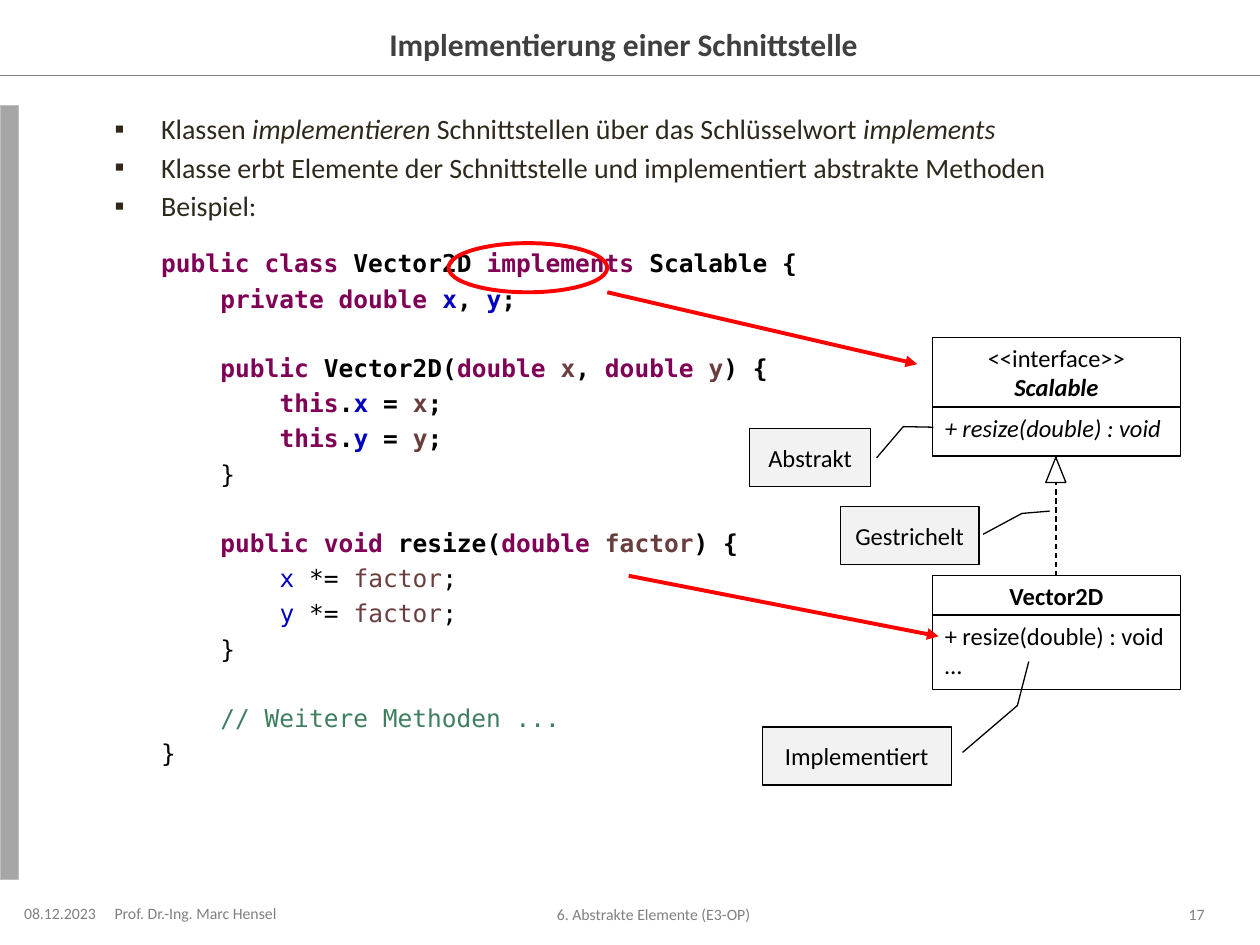
from lxml import etree
from pptx import Presentation
from pptx import util as u
from pptx.dml.color import RGBColor
from pptx.enum import dml, shapes, text
from pptx.oxml import ns

COLORS = {
    "black": "000000", "white": "FFFFFF", "red": "FF0000", "grey": "808080",
    "bar": "A6A6A6", "bar_edge": "BFBFBF", "note": "F2F2F2", "title": "404040",
    "body": "2F291D", "keyword": "7F0055", "field": "0000C0",
    "parameter": "6A3E3E", "comment": "3F7F5F",
}
LEFT, CENTER, RIGHT = text.PP_ALIGN.LEFT, text.PP_ALIGN.CENTER, text.PP_ALIGN.RIGHT
MIDDLE, TOP = text.MSO_ANCHOR.MIDDLE, text.MSO_ANCHOR.TOP
BULLET_INDENT, CODE_INDENT = 0.37, 0.47

BULLETS = [
    [("Klassen ", {}), ("implementieren", {"italic": True}),
     (" Schnittstellen über das Schlüsselwort ", {}), ("implements", {"italic": True})],
    [("Klasse erbt Elemente der Schnittstelle und implementiert abstrakte Methoden", {})],
    [("Beispiel:", {})],
]


def assignment(name):
    return [("this", "keyword"), (".", "black"), (name, "field"), (" = ", "black"),
            (name, "parameter"), (";", "black")]


def scaling(name):
    return [(name, "field"), (" *= ", "black"), ("factor", "parameter"), (";", "black")]


CLOSING = [("}", "black")]
CODE = [
    (0, 14.7, True, [("public class", "keyword"), (" Vector2D ", "black"),
                     ("implements", "keyword"), (" Scalable {", "black")]),
    (1, 3.3, True, [("private double ", "keyword"), ("x", "field"), (", ", "black"),
                    ("y", "field"), (";", "black")]),
    (1, 22.9, True, [("public", "keyword"), (" Vector2D(", "black"), ("double ", "keyword"),
                     ("x", "parameter"), (", ", "black"), ("double ", "keyword"),
                     ("y", "parameter"), (") {", "black")]),
    (2, 3.3, True, assignment("x")),
    (2, 3.3, True, assignment("y")),
    (1, 3.3, False, CLOSING),
    (1, 22.9, True, [("public void ", "keyword"), ("resize(", "black"), ("double ", "keyword"),
                     ("factor", "parameter"), (") {", "black")]),
    (2, 3.3, False, scaling("x")),
    (2, 3.3, False, scaling("y")),
    (1, 3.3, False, CLOSING),
    (1, 22.9, False, [("// Weitere Methoden ...", "comment")]),
    (0, 3.3, False, CLOSING),
]


def rgb(name):
    return RGBColor.from_string(COLORS[name])


def assign(target, values):
    for name, value in values.items():
        setattr(target, name, value)


def add_xml(parent, tag, **attributes):
    return etree.SubElement(parent, ns.qn(tag), attributes)


class SlideBuilder:
    """Holds the style and the current slide and adds its elements."""

    font = {"name": "Calibri", "size": u.Pt(14), "bold": False, "italic": False}
    code_font = {"name": "DejaVu Sans Mono"}

    def __init__(self, presentation):
        self.slide = presentation.slides.add_slide(presentation.slide_layouts[5])

    def run(self, paragraph, content, color="black", **values):
        run = paragraph.add_run()
        run.text = content
        assign(run.font, {**self.font, **values})
        run.font.color.rgb = rgb(color)

    def frame(self, shape, anchor=MIDDLE, insets=(0.1, 0.05, 0.1, 0.05)):
        sides = ("margin_left", "margin_top", "margin_right", "margin_bottom")
        assign(shape.text_frame, {"word_wrap": True, "vertical_anchor": anchor,
                                  "auto_size": text.MSO_AUTO_SIZE.NONE,
                                  **dict(zip(sides, map(u.Inches, insets)))})
        return shape.text_frame

    def paragraphs(self, frame, lines, align=CENTER, color="black"):
        for index, (content, values) in enumerate(lines):
            paragraph = frame.add_paragraph() if index else frame.paragraphs[0]
            paragraph.alignment = align
            self.run(paragraph, content, color, **values)

    def title(self, box, content):
        shape = self.slide.shapes.title
        assign(shape, dict(zip(("left", "top", "width", "height"), map(u.Inches, box))))
        frame = self.frame(shape, insets=(0, 0.05, 0.1, 0.05))
        self.paragraphs(frame, [(content, {"size": u.Pt(18), "bold": True})], color="title")

    def textbox(self, box, **values):
        return self.frame(self.slide.shapes.add_textbox(*map(u.Inches, box)), **values)

    def footer(self, box, content, align, insets=(0, 0.05, 0.1, 0.05)):
        frame = self.textbox(box, insets=insets)
        self.paragraphs(frame, [(content, {"size": u.Pt(9)})], align, "grey")

    def body(self, box):
        frame = self.textbox(box, anchor=TOP, insets=(0, 0.05, 0.1, 0.05))
        for index, runs in enumerate(BULLETS):
            paragraph = frame.add_paragraph() if index else frame.paragraphs[0]
            paragraph.space_before = u.Pt(2.8 if index else 0)
            indent = u.Inches(BULLET_INDENT)
            properties = self.indent(paragraph, indent, -indent)
            add_xml(properties, "a:buFont", typeface="Calibri")
            add_xml(properties, "a:buChar", char="▪")
            for content, values in runs:
                self.run(paragraph, content, "body", size=u.Pt(16), **values)
        for level, gap, bold, tokens in CODE:
            paragraph = frame.add_paragraph()
            paragraph.space_before = u.Pt(gap)
            self.indent(paragraph, u.Inches(BULLET_INDENT + level * CODE_INDENT))
            for content, color in tokens:
                self.run(paragraph, content, color, bold=bold, **self.code_font)

    def indent(self, paragraph, margin, first=0):
        properties = paragraph._p.get_or_add_pPr()
        properties.set("marL", str(margin))
        properties.set("indent", str(first))
        return properties

    def shape(self, kind, box, fill="white", line="black", width=0.75):
        shape = self.slide.shapes.add_shape(kind, *map(u.Inches, box))
        shape.shadow.inherit = False
        if fill:
            shape.fill.solid()
            shape.fill.fore_color.rgb = rgb(fill)
        else:
            shape.fill.background()
        shape.line.color.rgb = rgb(line)
        shape.line.width = u.Pt(width)
        return shape

    def class_part(self, box, lines, header=False):
        shape = self.shape(shapes.MSO_SHAPE.RECTANGLE, box)
        frame = self.frame(shape, anchor=MIDDLE if header else TOP)
        self.paragraphs(frame, lines, CENTER if header else LEFT)

    def callout(self, box, content, adjustments):
        shape = self.shape(shapes.MSO_SHAPE.LINE_CALLOUT_2, box, "note")
        for index, value in enumerate(adjustments):
            shape.adjustments[index] = value
        self.paragraphs(self.frame(shape), [(content, {})])

    def line(self, start, end, color="black", width=0.75, dashed=False, arrow=False):
        connector = self.slide.shapes.add_connector(
            shapes.MSO_CONNECTOR.STRAIGHT, *map(u.Inches, start + end))
        connector.line.color.rgb = rgb(color)
        connector.line.width = u.Pt(width)
        if dashed:
            connector.line.dash_style = dml.MSO_LINE.DASH
        if arrow:
            add_xml(connector.line._get_or_add_ln(), "a:tailEnd", type="triangle")
        add_xml(connector._element.spPr, "a:effectLst")


def main():
    presentation = Presentation()
    presentation.slide_width, presentation.slide_height = u.Inches(10), u.Inches(7.5)
    builder = SlideBuilder(presentation)
    preset = shapes.MSO_SHAPE

    builder.line((0, 0.6), (10, 0.6), "grey")
    builder.shape(preset.RECTANGLE, (0, 0.84, 0.15, 6.14), "bar", "bar_edge")
    builder.title((1.24, 0.15, 7.52, 0.39), "Implementierung einer Schnittstelle")
    builder.body((0.91, 0.84, 8.66, 6.14))

    builder.footer((0.15, 7.17, 0.75, 0.16), "08.12.2023", CENTER)
    builder.footer((0.91, 7.17, 1.5, 0.15), "Prof. Dr.-Ing. Marc Hensel", LEFT)
    builder.footer((2.48, 7.18, 5.51, 0.15), "6. Abstrakte Elemente (E3-OP)", CENTER)
    builder.footer((8.92, 7.18, 0.64, 0.15), "17", RIGHT, (0.1, 0.05, 0, 0.05))

    method = "+ resize(double) : void"
    builder.class_part((7.4, 2.68, 1.97, 0.55), [
        ("<<interface>>", {}), ("Scalable", {"bold": True, "italic": True})], header=True)
    builder.class_part((7.4, 3.23, 1.97, 0.39), [(method, {"italic": True})])
    builder.class_part((7.4, 4.57, 1.97, 0.31), [("Vector2D", {"bold": True})], header=True)
    builder.class_part((7.4, 4.88, 1.97, 0.59), [(method, {}), ("…", {})])
    builder.line((8.38, 4.57), (8.38, 3.63), dashed=True)
    builder.shape(preset.ISOSCELES_TRIANGLE, (8.3, 3.63, 0.16, 0.2))

    builder.shape(preset.OVAL, (3.56, 1.93, 1.26, 0.39), None, "red", 2.25)
    for start, end in (((4.82, 2.32), (7.28, 2.89)), ((4.99, 4.57), (7.45, 5.05))):
        builder.line(start, end, "red", 2.25, arrow=True)
    for box, content, adjustments in (
        ((5.95, 3.4, 0.96, 0.46), "Abstrakt", (0.51, 1.05, -0.03, 1.27, -0.02, 1.52)),
        ((6.05, 5.77, 1.5, 0.46), "Implementiert", (0.44, 1.06, -0.37, 1.35, -1.13, 1.41)),
        ((6.67, 4.02, 1.1, 0.46), "Gestrichelt", (0.48, 1.03, 0.12, 1.31, 0.08, 1.51)),
    ):
        builder.callout(box, content, adjustments)
    presentation.save("out.pptx")


if __name__ == "__main__":
    main()
